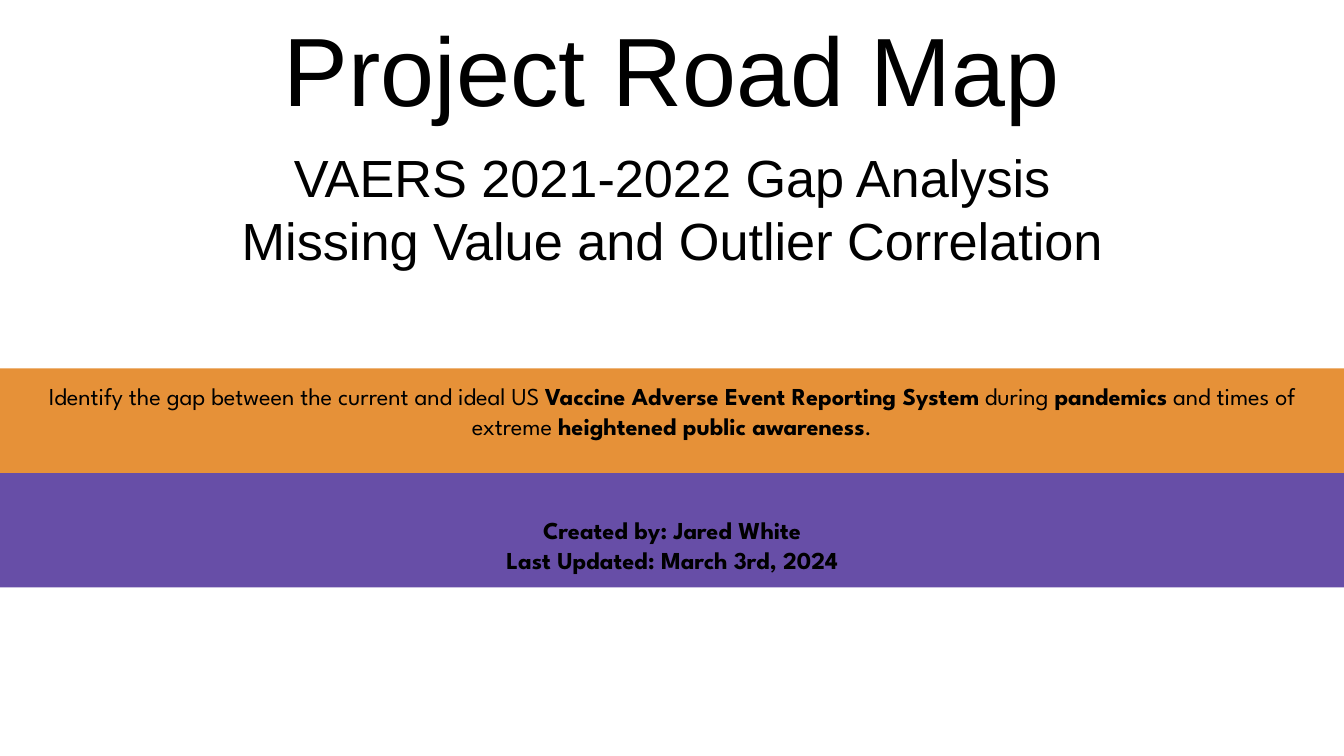
"""Build the project road map title slide."""
from dataclasses import dataclass

from pptx import Presentation
from pptx.dml.color import RGBColor
from pptx.enum import shapes, text
from pptx.util import Inches, Pt

Run = tuple[str, bool]
Line = list[Run]


@dataclass
class Style:
    font: str
    size: int
    anchor: text.MSO_ANCHOR
    side: float = 0


@dataclass
class Band:
    top: float
    height: float
    fill: str
    style: Style
    lines: list[Line]


def paint(fill, color: str) -> None:
    fill.solid()
    fill.fore_color.rgb = RGBColor.from_string(color)


def write(shape, lines: list[Line], style: Style) -> None:
    frame = shape.text_frame
    frame.word_wrap = True
    frame.auto_size = text.MSO_AUTO_SIZE.NONE
    frame.vertical_anchor = style.anchor
    frame.margin_left = frame.margin_right = Inches(style.side)
    frame.margin_top = frame.margin_bottom = Inches(0.1)
    for i, line in enumerate(lines):
        para = frame.add_paragraph() if i else frame.paragraphs[0]
        para.alignment = text.PP_ALIGN.CENTER
        para.space_before = Pt(0)
        para.line_spacing = 1.0
        for words, bold in line:
            run = para.add_run()
            run.text = words
            run.font.name = style.font
            run.font.size = Pt(style.size)
            run.font.bold = bold
            paint(run.font.fill, "000000")


def place(shape, top: float, height: float) -> None:
    shape.left, shape.top = Inches(0), Inches(top)
    shape.width, shape.height = WIDTH, Inches(height)


def draw(slide, band: Band) -> None:
    shape = slide.shapes.add_shape(
        shapes.MSO_SHAPE.RECTANGLE, Inches(0), Inches(band.top),
        WIDTH, Inches(band.height))
    shape.shadow.inherit = False
    paint(shape.fill, band.fill)
    shape.line.fill.background()
    write(shape, band.lines, band.style)


WIDTH = Inches(10)
TOP, BOTTOM = text.MSO_ANCHOR.TOP, text.MSO_ANCHOR.BOTTOM
BANDS = [
    Band(2.74, 1.28, "E69138", Style("League Spartan", 13, TOP, 0.1), [[
        ("Identify the gap between the current and ideal US ", False),
        ("Vaccine Adverse Event Reporting System", True),
        (" during ", False),
        ("pandemics", True),
        (" and times of extreme ", False),
        ("heightened public awareness", True),
        (".", False),
    ]]),
    Band(3.52, 0.85, "674EA7", Style("League Spartan", 13, BOTTOM, 0.1), [
        [("Created by: Jared White", True)],
        [("Last Updated: March 3rd, 2024", True)],
    ]),
]


def main() -> None:
    deck = Presentation()
    deck.slide_width, deck.slide_height = WIDTH, WIDTH * 9 // 16
    slide = deck.slides.add_slide(deck.slide_layouts[0])
    paint(slide.background.fill, "FFFFFF")
    title, sub = slide.placeholders
    place(title, 0.05, 0.99)
    write(title, [[("Project Road Map", False)]], Style("Arial", 52, BOTTOM))
    place(sub, 0.98, 0.87)
    write(sub, [
        [("VAERS 2021-2022 Gap Analysis", False)],
        [("Missing Value and Outlier Correlation", False)],
    ], Style("Arial", 28, TOP))
    for band in BANDS:
        draw(slide, band)
    deck.save("out.pptx")


if __name__ == "__main__":
    main()
